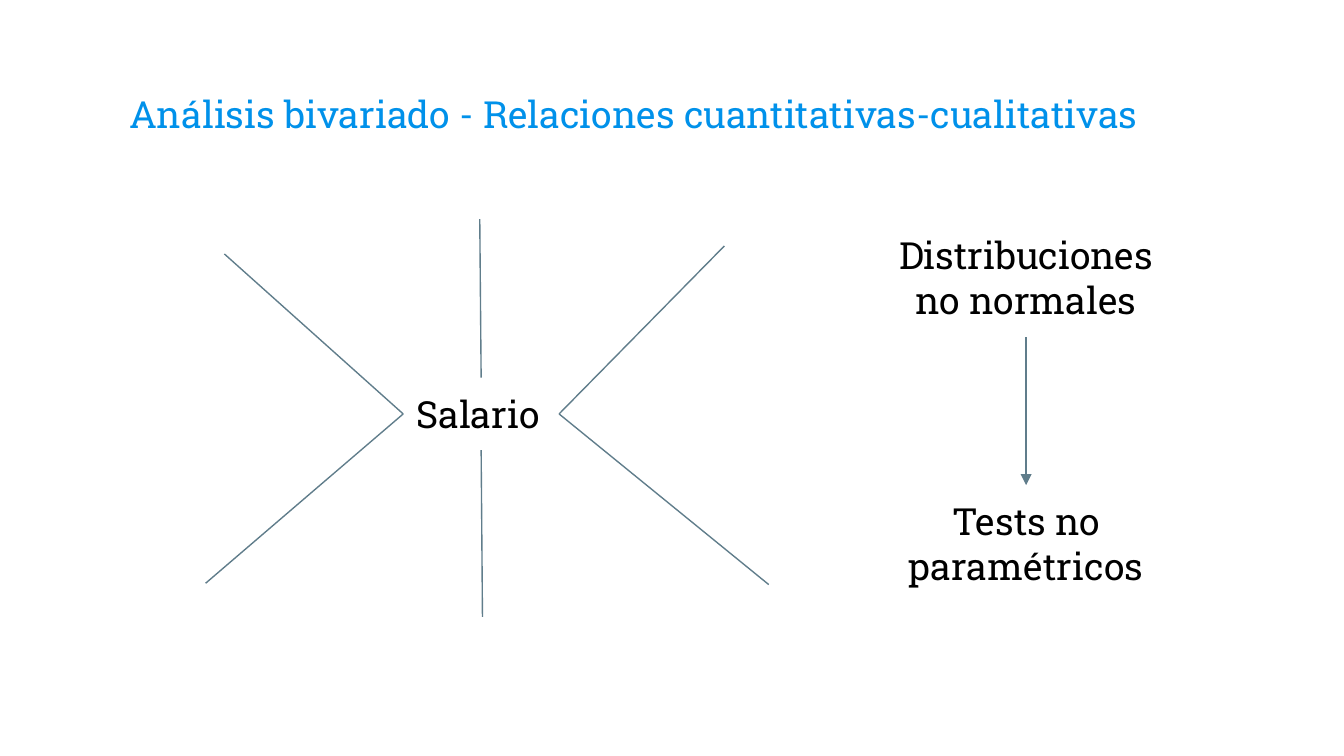
from lxml import etree
from pptx import Presentation
from pptx.dml.color import RGBColor
from pptx.enum.shapes import MSO_CONNECTOR
from pptx.enum.text import MSO_ANCHOR, MSO_AUTO_SIZE, PP_ALIGN
from pptx.oxml.ns import qn
from pptx.util import Inches, Pt

STRAIGHT = MSO_CONNECTOR.STRAIGHT
TOP, BOTTOM = MSO_ANCHOR.TOP, MSO_ANCHOR.BOTTOM
LEFT, CENTER = PP_ALIGN.LEFT, PP_ALIGN.CENTER
NO_FIT, GROW = MSO_AUTO_SIZE.NONE, MSO_AUTO_SIZE.SHAPE_TO_FIT_TEXT

BLUE = RGBColor(0x00, 0x91, 0xEA)
BLACK = RGBColor(0x00, 0x00, 0x00)
SLATE = RGBColor(0x60, 0x7D, 0x8B)
FONT = "Roboto Slab"

# Widescreen slide, 16:9
WIDTH = 10
HEIGHT = WIDTH * 9 / 16

# Hub of the star, in inches
HUB_X, HUB_Y, HUB_W, HUB_H = 3, 2.81, 1.16, 0.54
# Column of notes on the right
NOTE_X, NOTE_W, NOTE_H = 6.4, 2.47, 0.88
NOTE_TOP, NOTE_BOTTOM = 1.63, 3.61


def write(shape, text, color, align, anchor, fit):
    tf = shape.text_frame
    tf.text = text
    tf.word_wrap = True
    tf.auto_size = fit
    tf.vertical_anchor = anchor
    tf.margin_left = tf.margin_right = Inches(0.1)
    tf.margin_top = tf.margin_bottom = Inches(0.1)
    p = tf.paragraphs[0]
    p.alignment = align
    p.font.name = FONT
    p.font.size = Pt(20)
    p.font.color.rgb = color


def add_title(s, text):
    title = s.shapes.title
    title.left, title.top = Inches(0.86), Inches(0.34)
    title.width, title.height = Inches(8.28), Inches(0.77)
    write(title, text, BLUE, LEFT, BOTTOM, NO_FIT)


def add_label(s, text, x, y, w, h, align=CENTER):
    box = s.shapes.add_textbox(Inches(x), Inches(y), Inches(w), Inches(h))
    write(box, text, BLACK, align, TOP, GROW)


def add_line(s, start, end, arrow=False):
    line = s.shapes.add_connector(STRAIGHT, *map(Inches, start + end))
    line.line.color.rgb = SLATE
    line.line.width = Pt(0.75)
    if arrow:
        ln = line.line._get_or_add_ln()
        etree.SubElement(ln, qn("a:tailEnd"), type="triangle")
    etree.SubElement(line._element.spPr, qn("a:effectLst"))


def add_star(s):
    """Draw the hub label and the rays leaving the middle of its sides."""
    add_label(s, "Salario", HUB_X, HUB_Y, HUB_W, HUB_H, LEFT)
    mid_x, mid_y = HUB_X + HUB_W / 2, HUB_Y + HUB_H / 2
    left, right = (HUB_X, mid_y), (HUB_X + HUB_W, mid_y)
    top, bottom = (mid_x, HUB_Y), (mid_x, HUB_Y + HUB_H)
    rays = [
        (right, (5.39, 1.83)),
        (right, (5.72, 4.35)),
        (bottom, (3.59, 4.59)),
        (left, (1.53, 4.34)),
        (left, (1.67, 1.89)),
        (top, (3.57, 1.63)),
    ]
    for start, end in rays:
        add_line(s, start, end)


def add_notes_column(s):
    add_label(s, "Tests no paramétricos", NOTE_X, NOTE_BOTTOM, NOTE_W, NOTE_H)
    add_label(s, "Distribuciones no normales", NOTE_X, NOTE_TOP, NOTE_W, NOTE_H)
    mid_x = NOTE_X + NOTE_W / 2
    add_line(s, (mid_x, NOTE_TOP + NOTE_H), (mid_x, NOTE_BOTTOM), arrow=True)


def main():
    prs = Presentation()
    prs.slide_width, prs.slide_height = Inches(WIDTH), Inches(HEIGHT)
    s = prs.slides.add_slide(prs.slide_layouts[5])
    add_title(s, "Análisis bivariado - Relaciones cuantitativas-cualitativas")
    add_star(s)
    add_notes_column(s)
    prs.save("out.pptx")


if __name__ == "__main__":
    main()
